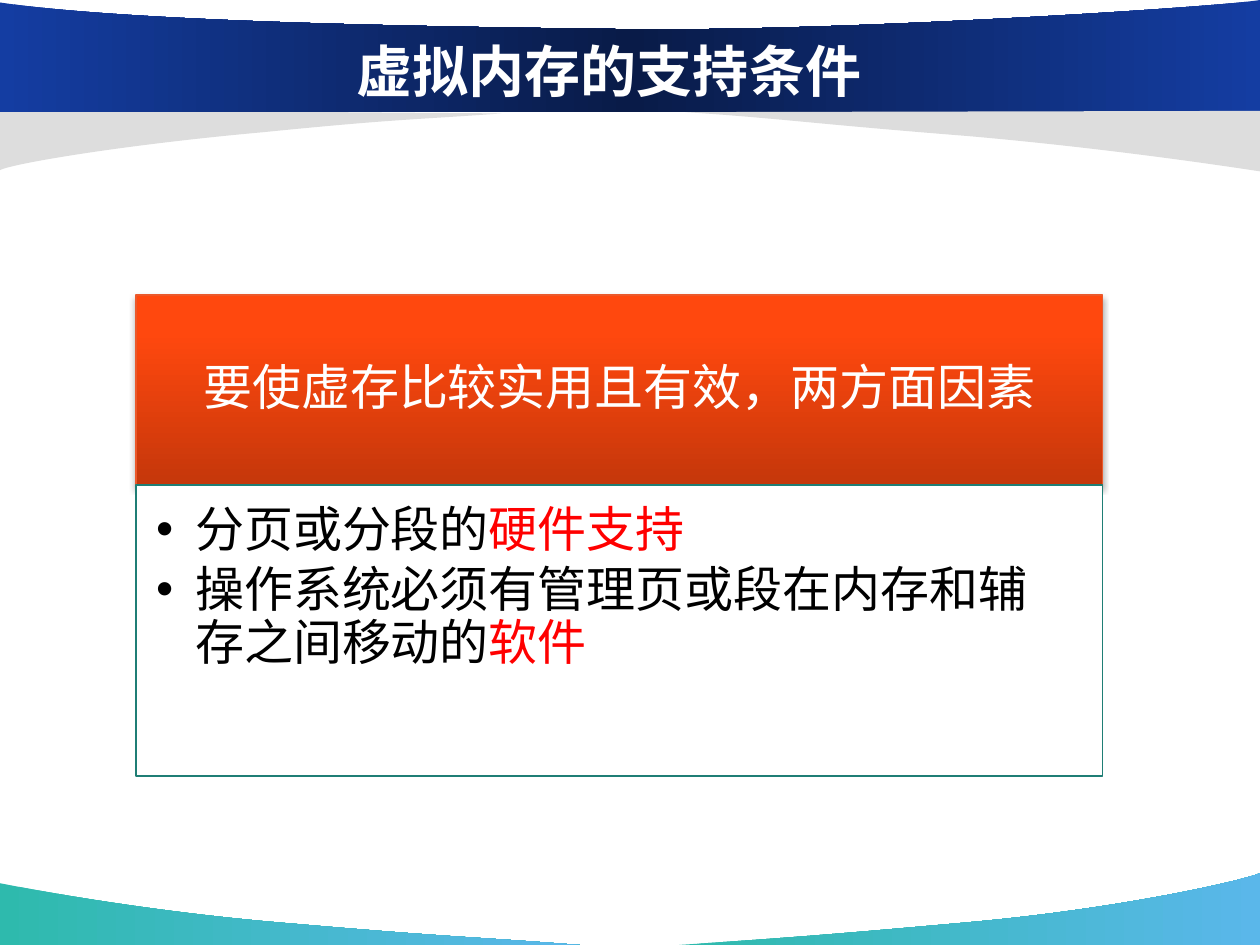
from dataclasses import dataclass

from lxml import etree
from pptx import Presentation
from pptx import util as u
from pptx.dml import color
from pptx.enum import shapes, text
from pptx.oxml import ns


@dataclass(frozen=True)
class Theme:
    """Colours, font and type sizes of the slide."""
    font: str = "Arial"
    head: int = 32
    body: int = 28
    white: str = "FFFFFF"
    black: str = "000000"
    red: str = "FF0000"
    gray: str = "DDDDDD"
    teal: str = "1F7E75"
    rust: str = "EB592B"
    sea: tuple = ((0, "2EBAAD"), (100, "5AB7EA"))
    navy: tuple = ((0, "143DA2"), (50, "091B48"), (100, "143DA2"))
    fire: tuple = ((0, "C5370B"), (80, "FF480E"), (100, "FF4910"))


T = Theme()

WAVES = [
    (T.sea, [(4.6, 7.5), (3.84, 7.44, 3.58, 7.44, 2.32, 7.33),
             (1.06, 7.23, 0.01, 7.01, 0, 7.01), (0, 7.5)]),
    (T.sea, [(5.39, 7.5), (6.14, 7.45, 6.46, 7.43, 7.69, 7.32),
             (8.92, 7.21, 9.9, 6.98, 10, 6.93), (10, 7.5)]),
    (T.gray, [(3.98, 0.9), (3.31, 0.95, 3.18, 0.94, 2.08, 1.05),
              (0.97, 1.15, 0.09, 1.3, 0, 1.35), (0, 0.87)]),
    (T.navy, [(0, 0.89), (10, 0.89), (10, 0),
              (9.64, 0.06, 6.53, 0.26, 4.87, 0.23),
              (3.21, 0.21, 1.01, 0.17, 0, 0.02)]),
    (T.gray, [(5.44, 0.89), (6.2, 0.94, 6.42, 0.98, 7.68, 1.08),
              (8.94, 1.19, 9.99, 1.36, 10, 1.36), (10, 0.88)]),
]


def rgb(code):
    """Turn a hex code into a colour."""
    return color.RGBColor.from_string(code)


def node(base, tag, **attrs):
    """Append a drawing element to a parent."""
    return etree.SubElement(base, ns.qn(tag), attrs)


def paint(shape, hue, angle=0):
    """Fill a shape with one colour or with gradient stops."""
    if isinstance(hue, str):
        shape.fill.solid()
        shape.fill.fore_color.rgb = rgb(hue)
        return
    shape.fill.gradient()
    shape.fill.gradient_angle = angle
    stops = shape.element.spPr.find(".//" + ns.qn("a:gsLst"))
    for old in list(stops):
        stops.remove(old)
    for pos, code in hue:
        stop = node(stops, "a:gs", pos=str(pos * 1000))
        node(stop, "a:srgbClr", val=code)


def edge(shape, code):
    """Outline a shape with a thin line."""
    shape.line.color.rgb = rgb(code)
    shape.line.width = u.Pt(0.75)


def place(shape, *box):
    """Move and size a shape in inches."""
    shape.left, shape.top, shape.width, shape.height = map(u.Inches, box)


def bend(wave, parts):
    """Turn the straight sides that have handles into cubic curves."""
    sides = wave.element.spPr.findall(".//" + ns.qn("a:lnTo"))
    for side, part in zip(sides, parts):
        if len(part) == 2:
            continue
        side.tag = ns.qn("a:cubicBezTo")
        side.clear()
        for x, y in zip(part[::2], part[1::2]):
            node(side, "a:pt", x=str(u.Inches(x) - wave.left),
                 y=str(u.Inches(y) - wave.top))


def add_wave(slide, hue, parts):
    """Draw a curved band behind the title."""
    first, *rest = [tuple(map(u.Inches, part[-2:])) for part in parts]
    maker = slide.shapes.build_freeform(*first)
    maker.add_line_segments(rest, close=True)
    wave = maker.convert_to_shape()
    bend(wave, parts[1:])
    wave.shadow.inherit = False
    paint(wave, hue)
    wave.line.fill.background()
    slide.shapes.title.element.addprevious(wave.element)


def add_shade(shape):
    """Give a shape a soft shadow below it."""
    shape.shadow.inherit = False
    effect = shape.element.spPr.find(ns.qn("a:effectLst"))
    shade = node(effect, "a:outerShdw", blurRad=str(u.Pt(3.1)),
                 dist=str(u.Pt(1.8)), dir="5400000", rotWithShape="0")
    tint = node(shade, "a:srgbClr", val=T.black)
    node(tint, "a:alpha", val="35000")


def set_frame(frame, anchor, *pads):
    """Set wrap, anchor and insets of a text frame."""
    frame.word_wrap = True
    frame.auto_size = text.MSO_AUTO_SIZE.NONE
    frame.vertical_anchor = anchor
    if pads:
        (frame.margin_left, frame.margin_top,
         frame.margin_right, frame.margin_bottom) = map(u.Inches, pads)


def add_run(para, words, size, code, bold=False):
    """Add one run of styled text."""
    run = para.add_run()
    run.text = words
    font = run.font
    font.name, font.size, font.bold = T.font, u.Pt(size), bold
    font.color.rgb = rgb(code)


def add_title(slide, words):
    """Set the slide title."""
    title = slide.shapes.title
    place(title, 0.92, 0.25, 7.83, 0.62)
    set_frame(title.text_frame, text.MSO_ANCHOR.MIDDLE)
    para = title.text_frame.paragraphs[0]
    para.alignment = text.PP_ALIGN.CENTER
    add_run(para, words, T.head, T.white, True)


def add_banner(slide, words):
    """Draw the orange heading of the card."""
    box = slide.shapes.add_shape(shapes.MSO_SHAPE.RECTANGLE, 0, 0, 0, 0)
    place(box, 1.08, 2.34, 7.67, 1.51)
    paint(box, T.fire, 90)
    edge(box, T.rust)
    add_shade(box)
    set_frame(box.text_frame, text.MSO_ANCHOR.MIDDLE, 0.22, 0.12, 0.22, 0.12)
    para = box.text_frame.paragraphs[0]
    para.alignment = text.PP_ALIGN.CENTER
    para.line_spacing = 0.9
    add_run(para, words, T.body, T.white)
    slide.placeholders[1].element.addprevious(box.element)


def add_list(slide, items):
    """Fill the body with bullets that end in red."""
    body = slide.placeholders[1]
    place(body, 1.08, 3.85, 7.67, 2.31)
    paint(body, T.white)
    edge(body, T.teal)
    frame = body.text_frame
    set_frame(frame, text.MSO_ANCHOR.TOP, 0.16, 0.16, 0.22, 0.24)
    for i, (plain, key) in enumerate(items):
        para = frame.add_paragraph() if i else frame.paragraphs[0]
        para.level = 1
        props = para._p.get_or_add_pPr()
        props.set("marL", str(u.Inches(0.31)))
        props.set("indent", str(u.Inches(-0.31)))
        node(props, "a:buChar", char="•")
        para.line_spacing = 0.9
        para.space_before, para.space_after = u.Pt(0), u.Pt(T.body * 0.15)
        add_run(para, plain, T.body, T.black)
        add_run(para, key, T.body, T.red)


def main():
    """Build and save the slide."""
    deck = Presentation()
    deck.slide_width, deck.slide_height = u.Inches(10), u.Inches(7.5)
    slide = deck.slides.add_slide(deck.slide_layouts[1])
    for hue, parts in WAVES:
        add_wave(slide, hue, parts)
    add_title(slide, "虚拟内存的支持条件")
    add_banner(slide, "要使虚存比较实用且有效，两方面因素")
    add_list(slide, [
        ("分页或分段的", "硬件支持"),
        ("操作系统必须有管理页或段在内存和辅存之间移动的", "软件"),
    ])
    deck.save("out.pptx")


if __name__ == "__main__":
    main()
